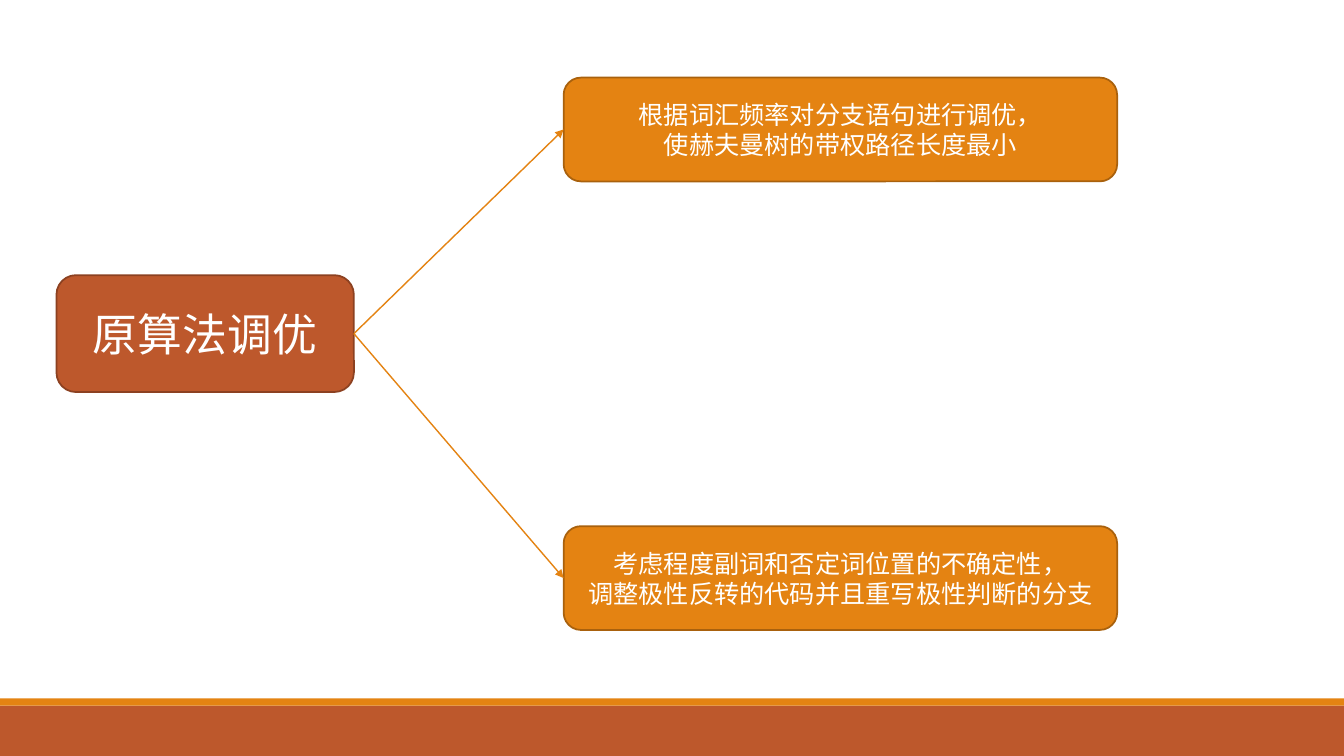
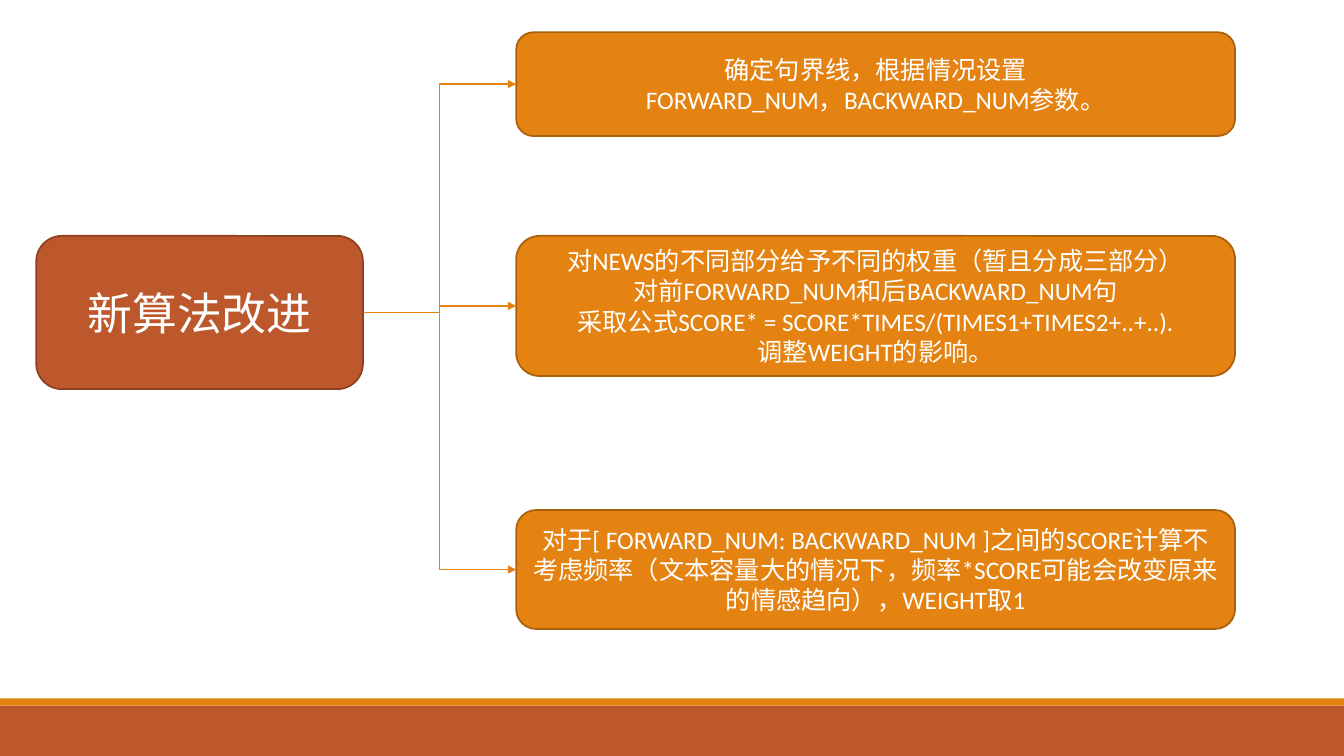
from pptx import Presentation
from pptx.dml.color import RGBColor
from pptx.enum.shapes import MSO_CONNECTOR, MSO_SHAPE
from pptx.enum.text import MSO_ANCHOR, PP_ALIGN
from pptx.oxml.ns import qn
from pptx.util import Inches, Pt
from lxml import etree

RECTANGLE = MSO_SHAPE.RECTANGLE
ROUNDED = MSO_SHAPE.ROUNDED_RECTANGLE
STRAIGHT = MSO_CONNECTOR.STRAIGHT
ELBOW = MSO_CONNECTOR.ELBOW
MIDDLE = MSO_ANCHOR.MIDDLE
CENTER = PP_ALIGN.CENTER

WHITE = RGBColor(0xFF, 0xFF, 0xFF)
RUST = RGBColor(0xBD, 0x58, 0x2C)
RUST_EDGE = RGBColor(0x8C, 0x41, 0x21)
ORANGE = RGBColor(0xE4, 0x83, 0x12)
ORANGE_EDGE = RGBColor(0xA9, 0x61, 0x0D)

FONT = "Calibri"
LEFT_SIDE, RIGHT_SIDE = 1, 3
SLIDE_WIDTH, SLIDE_HEIGHT = 13.33, 7.5


class Deck:
    """Holds the presentation, its shared style and the current slide."""

    def __init__(self):
        self.presentation = Presentation()
        self.presentation.slide_width = Inches(SLIDE_WIDTH)
        self.presentation.slide_height = Inches(SLIDE_HEIGHT)
        self.slide = None

    def new_slide(self):
        layout = self.presentation.slide_layouts[6]
        self.slide = self.presentation.slides.add_slide(layout)
        self.shape(RECTANGLE, (0, 7, SLIDE_WIDTH, 0.5), RUST)
        self.shape(RECTANGLE, (0, 6.93, SLIDE_WIDTH, 0.07), ORANGE)

    def shape(self, kind, box, fill):
        shape = self.slide.shapes.add_shape(kind, *map(Inches, box))
        shape.shadow.inherit = False
        shape.fill.solid()
        shape.fill.fore_color.rgb = fill
        shape.line.fill.background()
        return shape

    def text_box(self, box, lines, fill, edge, size):
        shape = self.shape(ROUNDED, box, fill)
        shape.line.color.rgb = edge
        shape.line.width = Pt(1.25)
        frame = shape.text_frame
        frame.word_wrap = True
        frame.vertical_anchor = MIDDLE
        frame.text = "\n".join(lines)
        for paragraph in frame.paragraphs:
            paragraph.alignment = CENTER
            paragraph.font.name = FONT
            paragraph.font.size = Pt(size)
            paragraph.font.color.rgb = WHITE
        return shape

    def topic(self, box, text):
        return self.text_box(box, [text], RUST, RUST_EDGE, 32)

    def detail(self, box, lines):
        return self.text_box(box, lines, ORANGE, ORANGE_EDGE, 18)

    def arrow(self, kind, start, end):
        connector = self.slide.shapes.add_connector(kind, 0, 0, 0, 0)
        connector.begin_connect(start, RIGHT_SIDE)
        connector.end_connect(end, LEFT_SIDE)
        connector.line.color.rgb = ORANGE
        connector.line.width = Pt(1)
        properties = connector._element.spPr
        line = properties.find(qn("a:ln"))
        etree.SubElement(line, qn("a:tailEnd"), type="triangle")
        etree.SubElement(properties, qn("a:effectLst"))

    def branch_slide(self, topic_box, topic_text, arrow_kind, left, width, details):
        self.new_slide()
        topic = self.topic(topic_box, topic_text)
        for top, height, lines in details:
            detail = self.detail((left, top, width, height), lines)
            self.arrow(arrow_kind, topic, detail)


def main():
    deck = Deck()
    deck.branch_slide(
        (0.56, 2.73, 2.95, 1.16), "原算法调优", STRAIGHT, 5.59, 5.49,
        [
            (0.77, 1.03, ["根据词汇频率对分支语句进行调优，",
                          "使赫夫曼树的带权路径长度最小"]),
            (5.22, 1.03, ["考虑程度副词和否定词位置的不确定性，",
                          "调整极性反转的代码并且重写极性判断的分支"]),
        ],
    )
    deck.branch_slide(
        (0.36, 2.34, 3.24, 1.52), "新算法改进", ELBOW, 5.12, 7.13,
        [
            (0.32, 1.03, ["确定句界线，根据情况设置",
                          "FORWARD_NUM，BACKWARD_NUM参数。"]),
            (2.34, 1.39, ["对NEWS的不同部分给予不同的权重（暂且分成三部分）",
                          "对前FORWARD_NUM和后BACKWARD_NUM句",
                          "采取公式SCORE* = SCORE*TIMES/(TIMES1+TIMES2+..+..).",
                          "调整WEIGHT的影响。"]),
            (5.06, 1.18, ["对于[ FORWARD_NUM: BACKWARD_NUM ]之间的SCORE计算"
                          "不考虑频率（文本容量大的情况下，频率*SCORE可能会改变"
                          "原来的情感趋向），WEIGHT取1"]),
        ],
    )
    deck.presentation.save("out.pptx")


if __name__ == "__main__":
    main()
